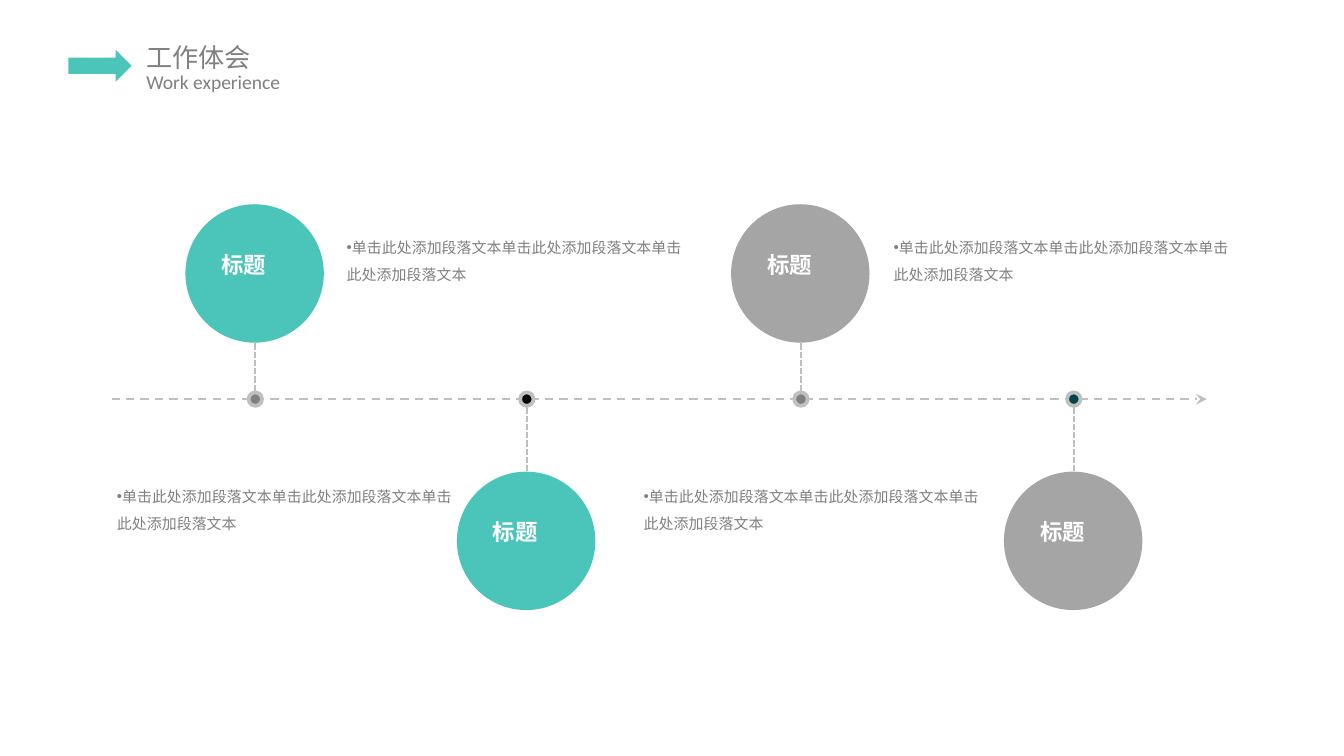
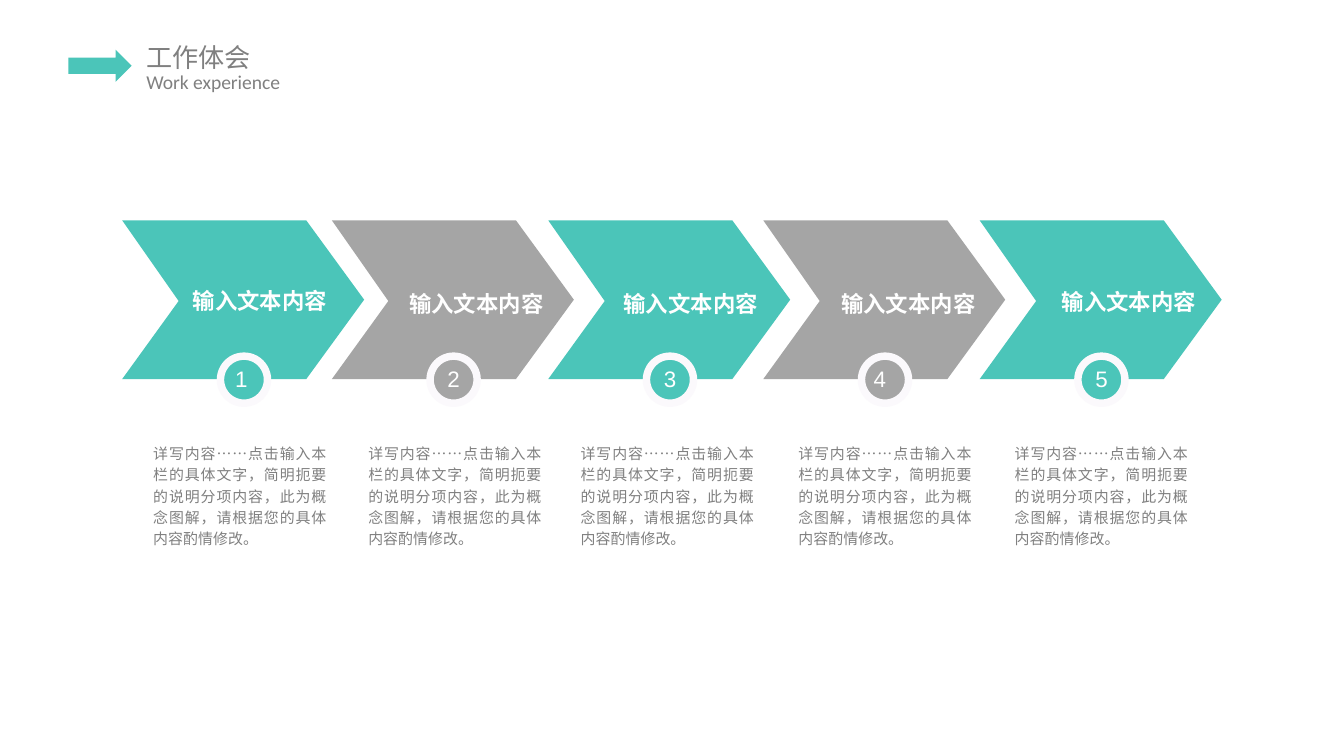
"""Builds two work experience slides: a timeline and a row of chevrons."""
from lxml import etree
from pptx import Presentation
from pptx.dml.color import RGBColor
from pptx.enum.dml import MSO_LINE
from pptx.enum.shapes import MSO_CONNECTOR, MSO_SHAPE
from pptx.enum.text import MSO_ANCHOR, MSO_AUTO_SIZE, PP_ALIGN
from pptx.oxml.ns import qn
from pptx.util import Inches, Pt

ARROW, OVAL = MSO_SHAPE.RIGHT_ARROW, MSO_SHAPE.OVAL
STRAIGHT = MSO_CONNECTOR.STRAIGHT
DASH, DOTS = MSO_LINE.DASH, MSO_LINE.SQUARE_DOT
TOP, MIDDLE = MSO_ANCHOR.TOP, MSO_ANCHOR.MIDDLE
LEFT, CENTER, JUSTIFY = PP_ALIGN.LEFT, PP_ALIGN.CENTER, PP_ALIGN.JUSTIFY
GROW, FIXED = MSO_AUTO_SIZE.SHAPE_TO_FIT_TEXT, MSO_AUTO_SIZE.NONE

HEX = {
    "teal": "4BC5B9", "gray": "A5A5A5", "text": "808080", "mid": "7F7F7F",
    "line": "BFBFBF", "black": "000000", "deep": "004646",
    "white": "FFFFFF", "ring": "FBF9FC",
}
RGB = {name: RGBColor.from_string(code) for name, code in HEX.items()}
SANS = "Noto Sans CJK SC"
NOTE = "单击此处添加段落文本" * 3
BODY = "详写内容……点击输入本栏的具体文字，简明扼要的说明分项内容，此为概念图解，请根据您的具体内容酌情修改。"


def paint(shape, fill, edge=None, width=0):
    shape.shadow.inherit = False
    shape.fill.solid()
    shape.fill.fore_color.rgb = RGB[fill]
    if edge:
        shape.line.color.rgb = RGB[edge]
        shape.line.width = Pt(width)
    else:
        shape.line.fill.background()


def write(box, text, size, color="text", face=SANS, bold=False, align=LEFT,
          pad=(0.1, 0.05), wrap=False, anchor=TOP, space=1, bullet=None):
    frame = box.text_frame
    frame.word_wrap = wrap
    frame.auto_size = FIXED if wrap else GROW
    frame.vertical_anchor = anchor
    frame.margin_left = frame.margin_right = Inches(pad[0])
    frame.margin_top = frame.margin_bottom = Inches(pad[1])
    para = frame.paragraphs[0]
    para.alignment = align
    para.line_spacing = space
    if bullet:
        props = para._p.get_or_add_pPr()
        props.set("marL", "0")
        props.set("indent", "0")
        etree.SubElement(props, qn("a:buFont")).set("typeface", "Arial")
        etree.SubElement(props, qn("a:buChar")).set("char", bullet)
    run = para.add_run()
    run.text = text
    font = run.font
    font.size = Pt(size)
    font.bold = bold
    font.color.rgb = RGB[color]
    font.name = face
    east = etree.SubElement(run._r.get_or_add_rPr(), qn("a:ea"))
    east.set("typeface", face)


deck = Presentation()
deck.slide_width, deck.slide_height = Inches(10), Inches(10 * 9 / 16)
layout = deck.slide_layouts[5]

for slide in [deck.slides.add_slide(layout) for _ in range(2)]:
    title = slide.shapes.title
    title.left, title.top = Inches(0.98), Inches(0.26)
    title.width, title.height = Inches(1), Inches(0.34)
    write(title, "工作体会", 14, pad=(0.11, 0.05))
    box = slide.shapes.add_textbox(
        Inches(0.98), Inches(0.47), Inches(1.23), Inches(0.28))
    write(box, "Work experience", 10.5, face="Calibri", pad=(0.11, 0.05))
    arrow = slide.shapes.add_shape(
        ARROW, Inches(0.51), Inches(0.37), Inches(0.47), Inches(0.24))
    paint(arrow, "teal")

time, chain = [slide.shapes for slide in deck.slides]

AXIS = 2.97
STOPS = [
    (1.9, 1.52, 2.4, 2.51, 1.67, "teal", "text"),
    (3.92, 3.51, 3.52, 0.8, 3.52, "teal", "black"),
    (5.96, 1.52, 2.4, 6.58, 1.67, "gray", "mid"),
    (7.99, 3.51, 3.52, 4.72, 3.52, "gray", "deep"),
]
lines = [(0.83, AXIS, 8.98, AXIS, DASH)]
lines += [(stop[0], AXIS, stop[0], stop[2], DOTS) for stop in STOPS]
for x1, y1, x2, y2, dash in lines:
    link = time.add_connector(
        STRAIGHT, Inches(x1), Inches(y1), Inches(x2), Inches(y2))
    link.line.color.rgb = RGB["line"]
    link.line.width = Pt(1.1)
    link.line.dash_style = dash
    if dash == DASH:
        tail = etree.SubElement(link.line._get_or_add_ln(), qn("a:tailEnd"))
        tail.set("type", "stealth")
    etree.SubElement(link._element.spPr, qn("a:effectLst"))

for mid, top, _, left, high, tint, core in STOPS:
    dot = time.add_shape(
        OVAL, Inches(mid - 0.05), Inches(2.92), Inches(0.1), Inches(0.1))
    paint(dot, core, "line", 2)
    disc = time.add_shape(
        OVAL, Inches(mid - 0.52), Inches(top), Inches(1.03), Inches(1.03))
    paint(disc, tint)
    box = time.add_textbox(
        Inches(mid - 0.35), Inches(top + 0.3), Inches(0.54), Inches(0.3))
    write(box, "标题", 12, "white", bold=True)
    box = time.add_textbox(
        Inches(left), Inches(high), Inches(2.74), Inches(0.84))
    write(box, NOTE, 8, pad=(0.07, 0.04), wrap=True, space=1.5, bullet="•")

EDGE = [(0.42, 0.6), (0, 1.18), (1.37, 1.18), (1.8, 0.59), (1.37, 0)]
STEPS = [
    (0.91, 1.43, 2.14, 1.01, 0.2, 1.75, 1.14),
    (2.47, 2.96, 2.17, 1.17, 0.18, 3.33, 2.74),
    (4.08, 4.53, 2.17, 1.22, 0.18, 4.94, 4.32),
    (5.68, 6.16, 2.17, 1.2, 0.18, 6.5, 5.94),
    (7.29, 7.78, 2.17, 1.24, 0.15, 8.15, 7.55),
]
for num, (left, label, top, wide, tall, digit, body) in enumerate(STEPS, 1):
    tint = "teal" if num % 2 else "gray"
    path = chain.build_freeform(Inches(left), Inches(1.64))
    path.add_line_segments(
        [(Inches(left + x), Inches(1.64 + y)) for x, y in EDGE], close=True)
    paint(path.convert_to_shape(), tint)
    box = chain.add_textbox(
        Inches(label), Inches(top), Inches(wide), Inches(tall))
    write(box, "输入文本内容", 12, "white", bold=True, align=CENTER,
          pad=(0, 0), wrap=True, anchor=MIDDLE)
    badge = chain.add_shape(
        OVAL, Inches(left + 0.73), Inches(2.65), Inches(0.35), Inches(0.35))
    paint(badge, tint, "ring", 4)
    box = chain.add_textbox(
        Inches(digit), Inches(2.72), Inches(0.1), Inches(0.2))
    write(box, str(num), 12, "white", "Arial", pad=(0, 0), anchor=MIDDLE)
    box = chain.add_textbox(
        Inches(body), Inches(3.28), Inches(1.29), Inches(0.81))
    write(box, BODY, 8, align=JUSTIFY, pad=(0, 0), wrap=True, space=1.2)

deck.save("out.pptx")
